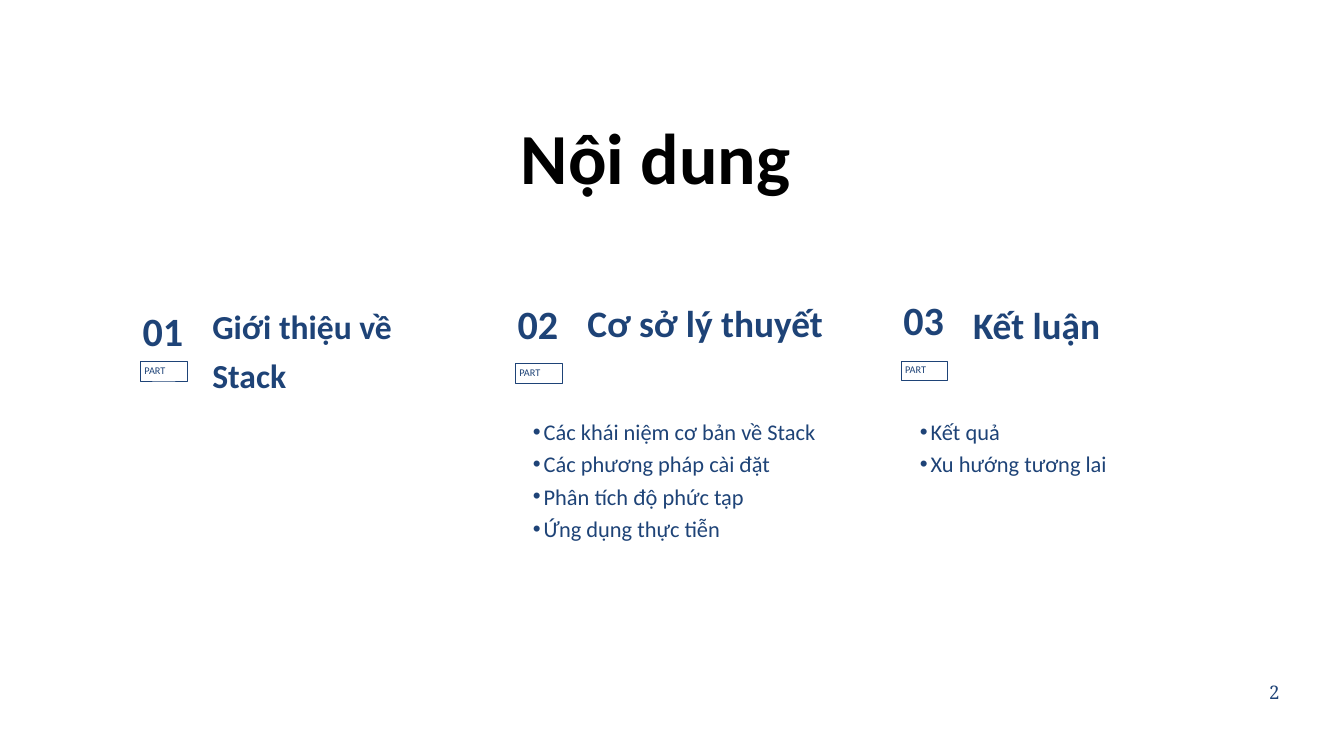
from dataclasses import dataclass
from lxml import etree
from pptx import Presentation, util as u
from pptx.dml.color import RGBColor
from pptx.enum import shapes, text
from pptx.oxml.ns import qn

COLS, ROWS = 20, 11.25


@dataclass(frozen=True)
class Theme:
    font: str = "Calibri"
    serif: str = "Noto Serif"
    navy: str = "1E4377"
    black: str = "000000"
    title: int = 77
    num: int = 43
    head: int = 40
    list: int = 24
    page: int = 20
    tag: int = 11


T = Theme()
A = text.PP_ALIGN
prs = Presentation()
prs.slide_width, prs.slide_height = u.Inches(20), u.Inches(11.25)
COL, ROW = prs.slide_width / COLS, prs.slide_height / ROWS


def place(shape, box):
    x, y, w, h = box
    spots = {"left": x * COL, "top": y * ROW, "width": w * COL, "height": h * ROW}
    for key, val in spots.items():
        setattr(shape, key, int(val))


def write(shape, lines, size, lead, bold=False, align=A.LEFT, color=T.navy,
          font=T.font, pad=(0, 0), anchor=text.MSO_ANCHOR.TOP, wrap=True):
    frame = shape.text_frame
    side, top = (u.Inches(p) for p in pad)
    frame.text = "\n".join(lines)
    form = {"margin_left": side, "margin_right": side, "margin_top": top,
            "margin_bottom": 0, "word_wrap": wrap, "vertical_anchor": anchor,
            "auto_size": text.MSO_AUTO_SIZE.NONE}
    for key, val in form.items():
        setattr(frame, key, val)
    for par in frame.paragraphs:
        form = {"alignment": align, "line_spacing": u.Pt(lead),
                "space_before": u.Pt(0), "space_after": u.Pt(0)}
        for key, val in form.items():
            setattr(par, key, val)
        for run in par.runs:
            look = {"name": font, "size": u.Pt(size), "bold": bold}
            for key, val in look.items():
                setattr(run.font, key, val)
            run.font.color.rgb = RGBColor.from_string(color)


def label(slide, box, words, size, lead, **form):
    shape = slide.shapes.add_textbox(0, 0, 0, 0)
    place(shape, box)
    write(shape, [words], size, lead, **form)


def title(slide, box, words):
    shape = slide.shapes.title
    place(shape, box)
    write(shape, [words], T.title, 107.8, bold=True, align=A.CENTER,
          color=T.black, anchor=text.MSO_ANCHOR.MIDDLE)


def tag(slide, box):
    shape = slide.shapes.add_shape(shapes.MSO_SHAPE.RECTANGLE, 0, 0, 0, 0)
    place(shape, box)
    shape.shadow.inherit = False
    shape.fill.background()
    shape.line.color.rgb = RGBColor.from_string(T.navy)
    shape.line.width = u.Pt(0.25)
    write(shape, ["PART"], T.tag, 13.2, align=A.JUSTIFY, pad=(0.06, 0.04))


def part(slide, box, num, head, size=T.head, lead=57.6, drop=(0, 0, 0)):
    x, y, w, h = box
    numdrop, headdrop, tagdrop = drop
    label(slide, (x, y + headdrop, w, h), head, size, lead, bold=True)
    label(slide, (x - 1.51, y + 0.07 + numdrop, 1.55, 0.9), num, T.num, 51.6,
          bold=True, align=A.CENTER)
    tag(slide, (x - 1.07, y + 1.04 + tagdrop, 0.69, 0.29))


def points(shape, box, lines):
    place(shape, box)
    write(shape, lines, T.list, 34.6)
    for par in shape.text_frame.paragraphs:
        par.level = 1
        props = par._p.get_or_add_pPr()
        for key, val in {"marL": 0.32, "indent": -0.16}.items():
            props.set(key, str(u.Inches(val)))
        etree.SubElement(props, qn("a:buChar")).set("char", "•")


def agenda():
    slide = prs.slides.add_slide(prs.slide_layouts[3])
    title(slide, (4.33, 0.08, 10.86, 4.26), "Nội dung")
    part(slide, (3.16, 4.33, 2.86, 1.13), "01", "Giới thiệu về Stack",
         size=36, lead=51.8, drop=(0.16, 0.11, 0.01))
    part(slide, (8.74, 4.33, 3.99, 1.15), "02", "Cơ sở lý thuyết",
         drop=(0.05, 0, 0.04))
    part(slide, (14.48, 4.33, 3.36, 1.15), "03", "Kết luận",
         drop=(0, 0.03, 0))
    first, last = (slide.placeholders[i] for i in (1, 2))
    points(first, (7.77, 6.14, 4.58, 1.94),
           ["Các khái niệm cơ bản về Stack", "Các phương pháp cài đặt",
            "Phân tích độ phức tạp", "Ứng dụng thực tiễn"])
    points(last, (13.53, 6.14, 4.58, 0.98), ["Kết quả", "Xu hướng tương lai"])
    label(slide, (18.88, 10.07, 0.17, 0.22), "2", T.page, 28,
          align=A.CENTER, font=T.serif, wrap=False)


if __name__ == "__main__":
    agenda()
    prs.save("out.pptx")
